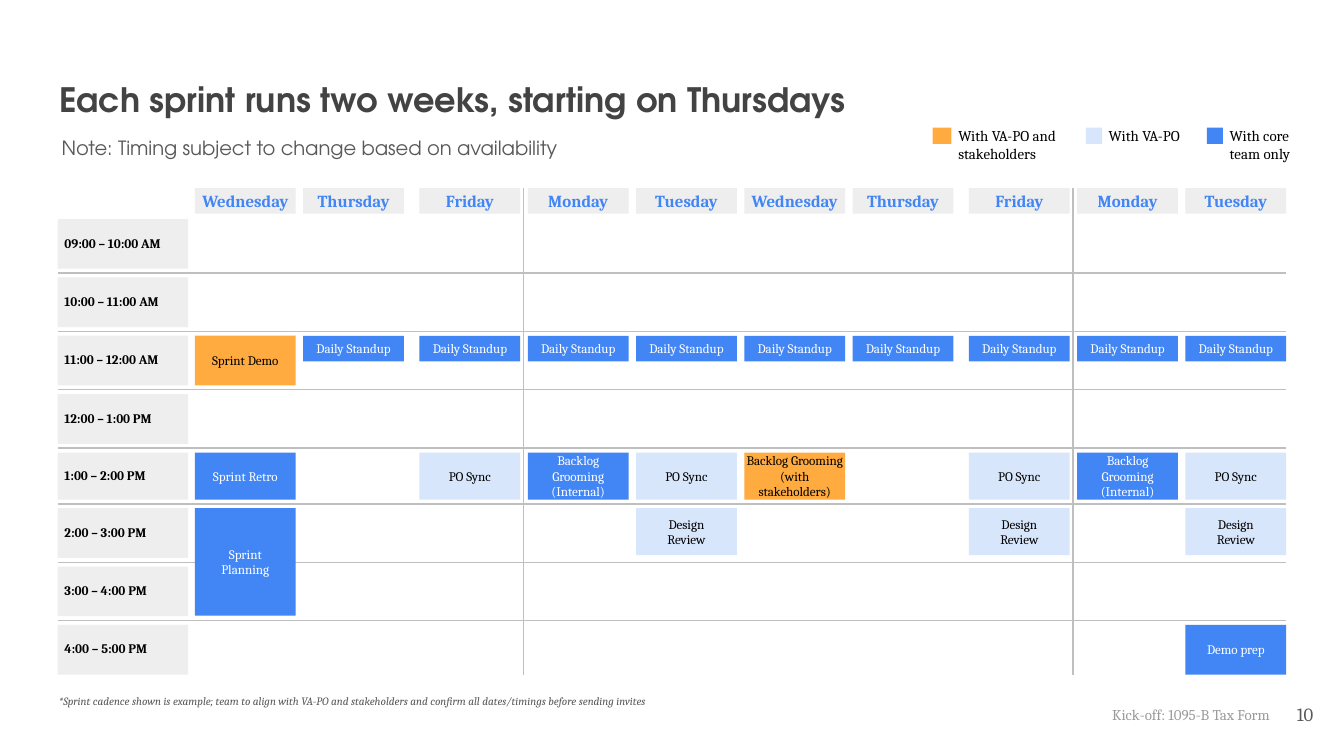
from itertools import accumulate

from lxml import etree
from pptx import Presentation
from pptx.dml.color import RGBColor
from pptx.enum.shapes import MSO_CONNECTOR, MSO_SHAPE
from pptx.enum.text import MSO_ANCHOR, MSO_AUTO_SIZE, PP_ALIGN
from pptx.oxml.ns import qn
from pptx.util import Inches, Pt

RECT = MSO_SHAPE.RECTANGLE
STRAIGHT = MSO_CONNECTOR.STRAIGHT
TOP, MIDDLE = MSO_ANCHOR.TOP, MSO_ANCHOR.MIDDLE
LEFT, CENTER, RIGHT = PP_ALIGN.LEFT, PP_ALIGN.CENTER, PP_ALIGN.RIGHT
NO_FIT = MSO_AUTO_SIZE.NONE

SERIF, SANS = "Cambria", "TeX Gyre Adventor"
COLORS = {
    "label": "EEEEEE", "rule": "BFBFBF", "day": "4285F4",
    "core": "4285F4", "po": "D8E6FC", "stakeholders": "FFAB40",
    "black": "000000", "white": "FFFFFF", "title": "434343",
    "note": "595959", "footer": "9B9B9B",
}

FULL, HALF, SHORT, DOUBLE = 0.37, 0.19, 0.35, 0.8
ROOMY, SNUG, TIGHT, NONE = (0.1, 0.05), (0.07, 0.04), (0.03, 0), (0, 0)

DAYS = ["Wednesday", "Thursday", "Friday", "Monday", "Tuesday",
        "Wednesday", "Thursday", "Friday", "Monday", "Tuesday"]
HOURS = {
    "09:00 – 10:00 AM": FULL, "10:00 – 11:00 AM": FULL,
    "11:00 – 12:00 AM": FULL, "12:00 – 1:00 PM": FULL,
    "1:00 – 2:00 PM": SHORT, "2:00 – 3:00 PM": FULL,
    "3:00 – 4:00 PM": FULL, "4:00 – 5:00 PM": FULL,
}

# name, audience, row, day columns, height, (side, top and bottom) insets
EVENTS = [
    ("Sprint Demo", "stakeholders", 2, [0], FULL, SNUG),
    ("Daily Standup", "core", 2, range(1, 10), HALF, TIGHT),
    ("Sprint Retro", "core", 4, [0], SHORT, SNUG),
    ("PO Sync", "po", 4, [2, 4, 7, 9], SHORT, ROOMY),
    ("Backlog Grooming (Internal)", "core", 4, [3, 8], SHORT, ROOMY),
    ("Backlog Grooming (with stakeholders)", "stakeholders", 4, [5], SHORT, NONE),
    ("Sprint Planning", "core", 5, [0], DOUBLE, SNUG),
    ("Design Review", "po", 5, [4, 7, 9], SHORT, ROOMY),
    ("Demo prep", "core", 7, [9], FULL, SNUG),
]

# audience, label, offset from the legend's left, swatch width, label box
LEGEND = [
    ("stakeholders", "With VA-PO and stakeholders", 0, 0.14, (0.85, 0.27)),
    ("po", "With VA-PO", 1.14, 0.12, (0.63, 0.13)),
    ("core", "With core team only", 2.04, 0.12, (0.5, 0.27)),
]


def rgb(name):
    return RGBColor.from_string(COLORS[name])


def write(shape, text, size, color="black", font=SERIF, bold=False, italic=False,
          align=LEFT, anchor=TOP, insets=(0, 0, 0, 0), spacing=None):
    """Put one formatted paragraph in a shape; insets are left, top, right, bottom."""
    frame = shape.text_frame
    frame.word_wrap = True
    frame.auto_size = NO_FIT
    frame.vertical_anchor = anchor
    (frame.margin_left, frame.margin_top,
     frame.margin_right, frame.margin_bottom) = map(Inches, insets)
    frame.text = text
    paragraph = frame.paragraphs[0]
    paragraph.alignment = align
    if spacing:
        paragraph.line_spacing = spacing
    paragraph.font.name = font
    paragraph.font.size = Pt(size)
    paragraph.font.bold = bold
    paragraph.font.italic = italic
    paragraph.font.color.rgb = rgb(color)


def add_block(shapes, box, fill):
    block = shapes.add_shape(RECT, *map(Inches, box))
    block.shadow.inherit = False
    block.fill.solid()
    block.fill.fore_color.rgb = rgb(fill)
    block.line.fill.background()
    return block


def add_label(shapes, box, text, size, **style):
    write(shapes.add_textbox(*map(Inches, box)), text, size, **style)


def add_rule(shapes, x1, y1, x2, y2):
    rule = shapes.add_connector(STRAIGHT, *map(Inches, (x1, y1, x2, y2)))
    rule.line.color.rgb = rgb("rule")
    rule.line.width = Pt(0.75)
    etree.SubElement(rule._element.spPr, qn("a:effectLst"))


def add_heading(slide, left, top):
    title = slide.shapes.title
    title.left, title.top, title.width, title.height = map(
        Inches, (left, top, 9.32, 0.5))
    write(title, "Each sprint runs two weeks, starting on Thursdays", 18,
          color="title", font=SANS, bold=True, insets=(0.1,) * 4)
    add_label(slide.shapes, (left + 0.02, top + 0.47, 4.2, 0.29),
              "Note: Timing subject to change based on availability", 10.5,
              color="note", font=SANS, insets=ROOMY * 2)


def add_legend(slide, left, top):
    for audience, label, offset, swatch_width, label_size in LEGEND:
        entry = slide.shapes.add_group_shape().shapes
        x = left + offset
        add_block(entry, (x, top + 0.01, swatch_width, 0.12), audience)
        add_label(entry, (x + swatch_width + 0.05, top, *label_size), label, 8)


def add_calendar(slide, left, top, width, height):
    shapes = slide.shapes
    right, bottom = left + width, top + height
    hour_width, day_width, friday_gap = 0.97, 0.75, 0.06
    first_day, first_row = left + 1.02, top + 0.23
    fridays = [i for i, day in enumerate(DAYS) if day == "Friday"]
    day_step = ((right - day_width - first_day - friday_gap * len(fridays))
                / (len(DAYS) - 1))
    columns = [first_day + i * day_step + friday_gap * sum(f <= i for f in fridays)
               for i in range(len(DAYS))]
    heights = list(HOURS.values())
    row_gap = (bottom - first_row - sum(heights)) / (len(heights) - 1)
    rows = list(accumulate((h + row_gap for h in heights[:-1]), initial=first_row))

    for y in rows[1:]:
        add_rule(shapes, left, y - row_gap / 2, right, y - row_gap / 2)
    for friday in fridays:
        x = columns[friday + 1] - 0.03
        add_rule(shapes, x, top, x, bottom)

    for day, x in zip(DAYS, columns):
        write(add_block(shapes, (x, top, day_width, HALF), "label"), day, 9,
              color="day", bold=True, align=CENTER, anchor=MIDDLE,
              insets=(0, 0, 0, 0.01), spacing=1.1)
    for (hour, row_height), y in zip(HOURS.items(), rows):
        write(add_block(shapes, (left, y, hour_width, row_height), "label"), hour, 7,
              bold=True, anchor=MIDDLE, insets=(0.05, 0.05, 0.03, 0.05), spacing=0.9)

    for name, audience, row, days, event_height, insets in EVENTS:
        for day in days:
            event = add_block(
                shapes, (columns[day], rows[row], day_width, event_height), audience)
            write(event, name, 7, color="white" if audience == "core" else "black",
                  align=CENTER, anchor=MIDDLE, insets=insets * 2)


def add_footer(slide, left, top):
    shapes, margins = slide.shapes, (0.1,) * 4
    add_label(shapes, (left, top + 0.02, 5.2, 0.3),
              "*Sprint cadence shown is example; team to align with VA-PO and "
              "stakeholders and confirm all dates/timings before sending invites",
              6, color="note", italic=True, insets=ROOMY * 2)
    add_label(shapes, (left + 7.68, top + 0.05, 1.53, 0.39),
              "Kick-off: 1095-B Tax Form", 8, color="footer", align=RIGHT,
              insets=margins)
    add_label(shapes, (left + 8.93, top, 0.6, 0.43), "10", 10, color="note",
              align=RIGHT, anchor=MIDDLE, insets=margins)


def main():
    deck = Presentation()
    deck.slide_width = Inches(10)
    deck.slide_height = deck.slide_width * 9 // 16
    slide = deck.slides.add_slide(deck.slide_layouts[5])
    add_calendar(slide, 0.43, 1.4, 9.14, 3.62)
    add_heading(slide, 0.34, 0.49)
    add_legend(slide, 6.94, 0.94)
    add_footer(slide, 0.34, 5.1)
    deck.save("out.pptx")


if __name__ == "__main__":
    main()
